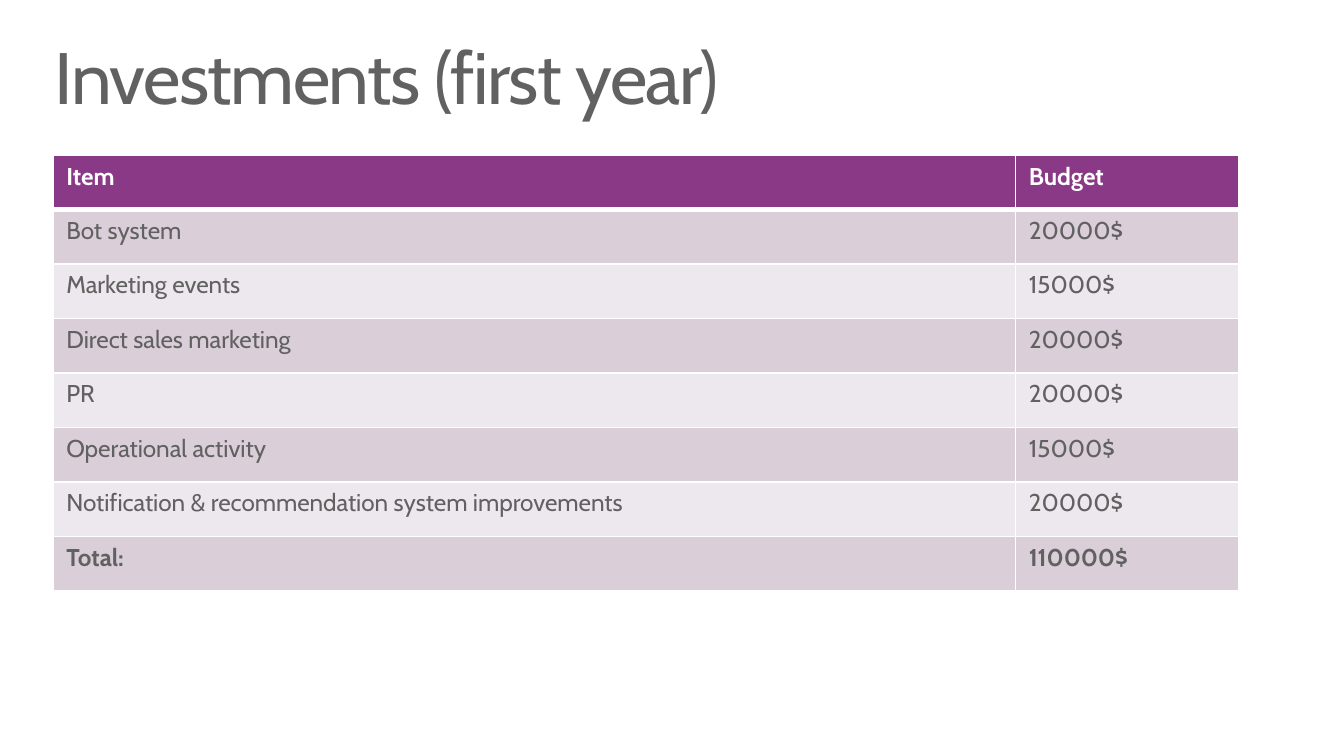
import pptx
import pptx.dml.color
import pptx.oxml
import pptx.oxml.ns
import pptx.util

Cm = pptx.util.Cm
Pt = pptx.util.Pt

PURPLE = "8A3986"
GRAY = "616161"
WHITE = "FFFFFF"
BANDS = ["DACED9", "EDE8ED"]

INVESTMENTS = [
    ("Item", "Budget"),
    ("Bot system", "20000$"),
    ("Marketing events", "15000$"),
    ("Direct sales marketing", "20000$"),
    ("PR", "20000$"),
    ("Operational activity", "15000$"),
    ("Notification & recommendation system improvements", "20000$"),
    ("Total:", "110000$"),
]


def color(value):
    return pptx.dml.color.RGBColor.from_string(value)


def write(frame, text, size=13, fill=GRAY, bold=False, line_spacing=None, tracking=None):
    paragraph = frame.paragraphs[0]
    paragraph.line_spacing = line_spacing
    run = paragraph.add_run()
    run.text = text
    run.font.name = "Cabin"
    run.font.size = Pt(size)
    run.font.bold = bold
    run.font.color.rgb = color(fill)
    if tracking is not None:
        run._r.get_or_add_rPr().set("spc", str(round(tracking * 100)))


def set_borders(cell, top, bottom):
    properties = cell._tc.get_or_add_tcPr()
    widths = {"lnL": 1, "lnR": 1, "lnT": top, "lnB": bottom}
    for index, (side, width) in enumerate(widths.items()):
        border = pptx.oxml.parse_xml(
            f'<a:{side} {pptx.oxml.ns.nsdecls("a")} w="{Pt(width)}">'
            f'<a:solidFill><a:srgbClr val="{WHITE}"/></a:solidFill></a:{side}>'
        )
        properties.insert(index, border)


class SlideBuilder:
    font_size = 13
    header_fill = PURPLE
    row_height = Cm(1.03)

    def __init__(self, slide):
        self.slide = slide

    def title(self, text, left, top, width, height):
        frame = self.slide.shapes.add_textbox(left, top, width, height).text_frame
        frame.word_wrap = True
        frame.margin_left = frame.margin_right = Cm(0.3)
        frame.margin_top = frame.margin_bottom = Cm(0.18)
        write(frame, text, size=39, line_spacing=0.9, tracking=-0.8)

    def table(self, rows, left, top, column_widths):
        shape = self.slide.shapes.add_table(
            len(rows), len(column_widths), left, top,
            sum(column_widths), self.row_height * len(rows),
        )
        table = shape.table
        for column, width in zip(table.columns, column_widths):
            column.width = width
        last = len(rows) - 1
        for row_index, values in enumerate(rows):
            header = row_index == 0
            table.rows[row_index].height = self.row_height
            background = self.header_fill if header else BANDS[(row_index - 1) % 2]
            for column_index, value in enumerate(values):
                cell = table.cell(row_index, column_index)
                cell.fill.solid()
                cell.fill.fore_color.rgb = color(background)
                set_borders(cell, 3 if row_index == 1 else 1, 3 if header else 1)
                write(cell.text_frame, value, size=self.font_size,
                      fill=WHITE if header else GRAY, bold=row_index in (0, last))


def main():
    presentation = pptx.Presentation()
    presentation.slide_width = Cm(25.4)
    presentation.slide_height = Cm(14.29)
    slide = presentation.slides.add_slide(presentation.slide_layouts[6])
    builder = SlideBuilder(slide)
    builder.title("Investments (first year)", Cm(0.74), Cm(0.61), Cm(23.9), Cm(1.88))
    builder.table(INVESTMENTS, Cm(1), Cm(2.93), [Cm(18.19), Cm(4.22)])
    presentation.save("out.pptx")


if __name__ == "__main__":
    main()
